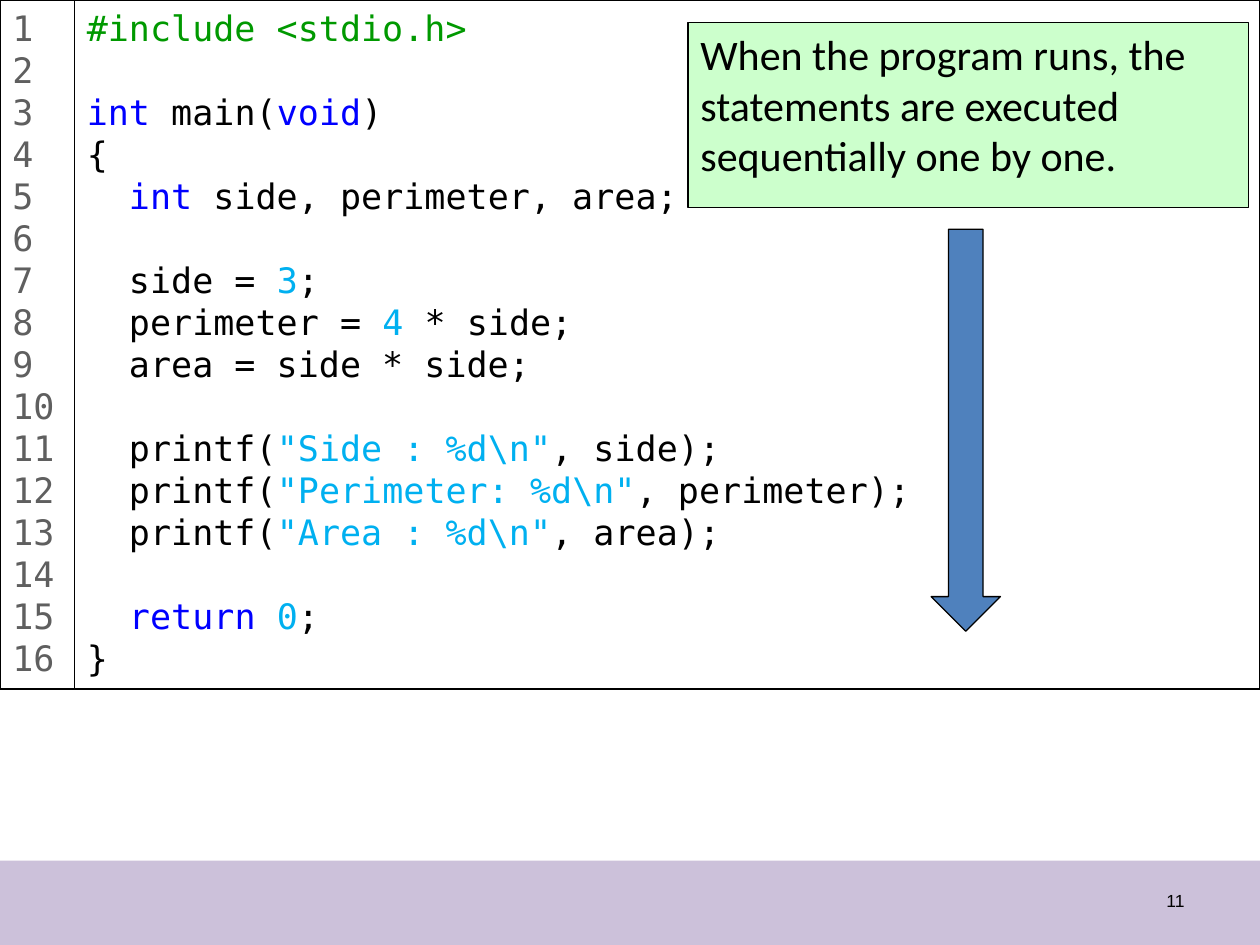
from pptx import Presentation
from pptx.dml.color import RGBColor
from pptx.enum.shapes import MSO_SHAPE
from pptx.enum.text import MSO_ANCHOR, PP_ALIGN
from pptx.util import Inches, Pt

MONO = "DejaVu Sans Mono"
BLACK, GRAY, WHITE = "000000", "5F5F5F", "FFFFFF"
GREEN, BLUE, CYAN = "009900", "0000FF", "00B0F0"

# Each code line is a list of (text, colour) pieces
CODE = [
    [("#include <stdio.h>", GREEN)],
    [],
    [("int", BLUE), (" main(", BLACK), ("void", BLUE), (")", BLACK)],
    [("{", BLACK)],
    [("  ", BLACK), ("int", BLUE), (" side, perimeter, area;", BLACK)],
    [],
    [("  side = ", BLACK), ("3", CYAN), (";", BLACK)],
    [("  perimeter = ", BLACK), ("4", CYAN), (" * side;", BLACK)],
    [("  area = side * side;", BLACK)],
    [],
    [("  printf(", BLACK), ('"Side : %d\\n"', CYAN), (", side);", BLACK)],
    [("  printf(", BLACK), ('"Perimeter: %d\\n"', CYAN), (", perimeter);", BLACK)],
    [("  printf(", BLACK), ('"Area : %d\\n"', CYAN), (", area);", BLACK)],
    [],
    [("  ", BLACK), ("return ", BLUE), ("0", CYAN), (";", BLACK)],
    [("}", BLACK)],
]


def color(value):
    return RGBColor.from_string(value)


def add_box(slide, box, fill, line=BLACK, kind=MSO_SHAPE.RECTANGLE):
    shape = slide.shapes.add_shape(kind, *map(Inches, box))
    shape.shadow.inherit = False
    shape.fill.solid()
    shape.fill.fore_color.rgb = color(fill)
    if line:
        shape.line.color.rgb = color(line)
        shape.line.width = Pt(0.75)
    else:
        shape.line.fill.background()
    return shape


def write(frame, lines, font, size, align=PP_ALIGN.LEFT, pitch=None):
    frame.word_wrap = True
    for i, pieces in enumerate(lines):
        para = frame.paragraphs[0] if i == 0 else frame.add_paragraph()
        para.alignment = align
        para.font.size = Pt(size)
        if pitch:
            para.line_spacing = Pt(pitch)
        for text, tint in pieces:
            run = para.add_run()
            run.text = text
            run.font.name = font
            run.font.size = Pt(size)
            run.font.color.rgb = color(tint)


def add_footer(slide, box, number):
    left, top, width, height = box
    add_box(slide, box, "CCC1DA", line=None)
    label = slide.shapes.add_textbox(
        Inches(left + width - 2.83), Inches(top + 0.12), Inches(2.33), Inches(0.4))
    label.text_frame.vertical_anchor = MSO_ANCHOR.MIDDLE
    write(label.text_frame, [[(number, BLACK)]], "Arial", 10, PP_ALIGN.RIGHT)


def add_code(slide, box, lines, gutter=0.59):
    left, top, width, height = box
    numbers = [[(str(n), GRAY)] for n in range(1, len(lines) + 1)]
    # Listing on the right, line numbers in the gutter
    listing = add_box(slide, (left + gutter, top, width - gutter, height), WHITE)
    margin = add_box(slide, (left, top, gutter, height), WHITE)
    margin.text_frame.margin_right = 0
    for shape, rows in ((listing, lines), (margin, numbers)):
        shape.text_frame.vertical_anchor = MSO_ANCHOR.TOP
        write(shape.text_frame, rows, MONO, 20, pitch=24)


def add_note(slide, box, text):
    note = add_box(slide, box, "CCFFCC")
    note.text_frame.vertical_anchor = MSO_ANCHOR.TOP
    write(note.text_frame, [[(text, BLACK)]], "Calibri", 24)


def add_arrow(slide, box):
    arrow = add_box(slide, box, "4F81BD", kind=MSO_SHAPE.DOWN_ARROW)
    arrow.adjustments[0] = 0.5
    arrow.adjustments[1] = 0.5


def main():
    deck = Presentation()
    deck.slide_width, deck.slide_height = Inches(10), Inches(7.5)
    slide = deck.slides.add_slide(deck.slide_layouts[6])
    add_footer(slide, (0, 6.83, 10, 0.67), "11")
    add_code(slide, (0, 0, 10, 5.47), CODE)
    add_note(slide, (5.46, 0.18, 4.45, 1.47),
             "When the program runs, the statements are executed "
             "sequentially one by one.")
    add_arrow(slide, (7.39, 1.82, 0.55, 3.19))
    deck.save("out.pptx")


if __name__ == "__main__":
    main()
